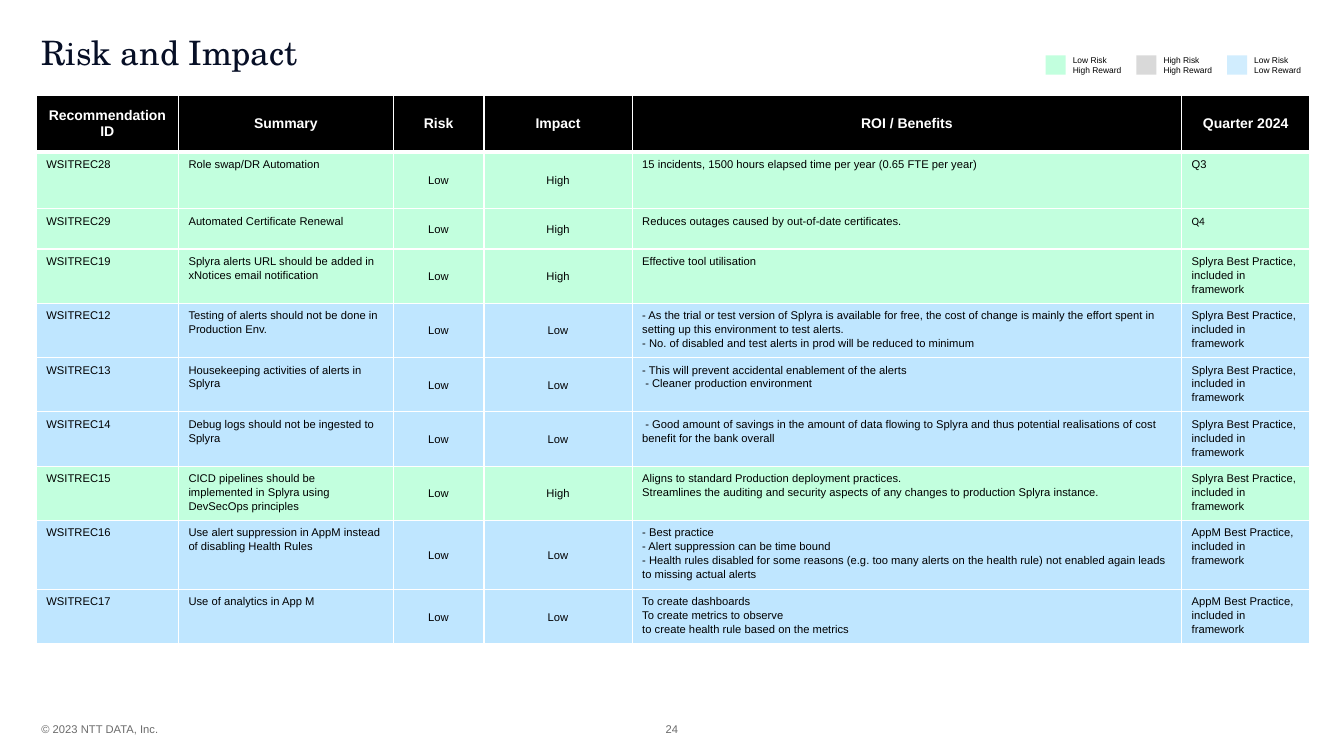
from dataclasses import dataclass

from pptx import Presentation
from pptx import util as u
from pptx.dml import color as col
from pptx.enum import shapes, text
from pptx.oxml import ns, xmlchemy as xml

MINT, SKY, GREY, PALE = "C2FFDE", "BFE6FF", "D9D9D9", "D1EDFE"
BLACK, WHITE, NAVY, DIM = "000000", "FFFFFF", "070F26", "6B6B6B"
LEFT, MID = text.PP_ALIGN.LEFT, text.PP_ALIGN.CENTER
TOP, CORE = text.MSO_ANCHOR.TOP, text.MSO_ANCHOR.MIDDLE


@dataclass
class Look:
    size: float
    hue: str = BLACK
    face: str = "Arial"
    bold: bool = False
    align: text.PP_ALIGN = LEFT
    lead: float = 1.0


@dataclass
class Label:
    words: str
    box: tuple[float, float, float, float]
    look: Look
    anchor: text.MSO_ANCHOR = TOP


@dataclass
class Advice:
    code: str
    gist: str
    impact: str
    gain: str
    term: str
    fill: str = SKY
    face: str = "Arial"  # font of the quarter cell


@dataclass
class Key:
    words: str
    fill: str


def paint(tone: str) -> col.RGBColor:
    return col.RGBColor.from_string(tone)


def write(frame, words: str, look: Look) -> None:
    """Fill the first paragraph, one run per line."""
    para = frame.paragraphs[0]
    para.alignment, para.line_spacing = look.align, look.lead
    for i, line in enumerate(words.split("\n")):
        if i:
            para.add_line_break()
        run = para.add_run()
        run.text = line
        run.font.size, run.font.name = u.Pt(look.size), look.face
        run.font.bold = look.bold
        run.font.color.rgb = paint(look.hue)


def put(slide, label: Label) -> None:
    frame = slide.shapes.add_textbox(*map(u.Inches, label.box)).text_frame
    frame.word_wrap = True
    frame.vertical_anchor = label.anchor
    frame.margin_left = frame.margin_right = 0
    frame.margin_top = frame.margin_bottom = 0
    write(frame, label.words, label.look)


def edge(cell, base: float) -> None:
    """White cell borders; base is the width of the bottom one."""
    props = cell._tc.get_or_add_tcPr()
    for side, width in (("L", 1), ("R", 1), ("T", 1), ("B", base)):
        line = xml.OxmlElement(f"a:ln{side}")
        line.set("w", str(u.Pt(width)))
        fill = xml.OxmlElement("a:solidFill")
        tint = xml.OxmlElement("a:srgbClr")
        tint.set("val", WHITE)
        fill.append(tint)
        line.append(fill)
        props.append(line)


def set_cell(cell, words: str, fill: str, look: Look, anchor: text.MSO_ANCHOR,
             base: float = 1) -> None:
    edge(cell, base)
    cell.fill.solid()
    cell.fill.fore_color.rgb = paint(fill)
    cell.vertical_anchor = anchor
    write(cell.text_frame, words, look)


def draw_grid(slide, heads: list[str], wides: list[float], items: list[Advice]) -> None:
    box = map(u.Inches, (0.36, 0.95, 12.62, 5.38))
    frame = slide.shapes.add_table(len(items) + 1, len(heads), *box)
    grid = frame.table
    grid.first_row = grid.horz_banding = False
    for part, wide in zip(grid.columns, wides):
        part.width = u.Inches(wide)
    for i, row in enumerate(grid.rows):
        row.height = u.Inches(0.56 if i < 2 else 0.4)
    frame.height = u.Inches(5.38)
    # Header row
    for j, head in enumerate(heads):
        set_cell(grid.cell(0, j), head, BLACK, Look(10, WHITE, bold=True, align=MID), CORE, 3)
    # One row per item, with risk and impact centred
    for i, item in enumerate(items, 1):
        words = (item.code, item.gist, "Low", item.impact, item.gain, item.term)
        for j, word in enumerate(words):
            score = j in (2, 3)
            face = item.face if j == 5 else "Arial"
            look = Look(8, face=face, align=MID if score else LEFT, lead=1.1)
            set_cell(grid.cell(i, j), word, item.fill, look, CORE if score else TOP)


def draw_key(slide, key: Key, left: float) -> None:
    box = map(u.Inches, (left, 0.55, 0.2, 0.19))
    chip = slide.shapes.add_shape(shapes.MSO_SHAPE.RECTANGLE, *box)
    chip.shadow.inherit = False
    chip.fill.solid()
    chip.fill.fore_color.rgb = paint(key.fill)
    chip.line.fill.background()
    put(slide, Label(key.words, (left + 0.27, 0.55, 0.54, 0.21), Look(6)))


HEADS = ["Recommendation ID", "Summary", "Risk", "Impact", "ROI / Benefits", "Quarter 2024"]
WIDES = [1.41, 2.13, 0.9, 1.47, 5.45, 1.27]
LOGS = "Splyra Best Practice, included in framework"
APPS = "AppM Best Practice, included in framework"
ITEMS = [
    Advice("WSITREC28", "Role swap/DR Automation", "High",
           "15 incidents, 1500 hours elapsed time per year (0.65 FTE per year)", "Q3", MINT),
    Advice("WSITREC29", "Automated Certificate Renewal", "High",
           "Reduces outages caused by out-of-date certificates.", "Q4", MINT, "Calibri"),
    Advice("WSITREC19", "Splyra alerts URL should be added in xNotices email notification",
           "High", "Effective tool utilisation", LOGS, MINT),
    Advice("WSITREC12", "Testing of alerts should not be done in Production Env.", "Low",
           "- As the trial or test version of Splyra is available for free, the cost of change "
           "is mainly the effort spent in setting up this environment to test alerts.\n"
           "- No. of disabled and test alerts in prod will be reduced to minimum", LOGS),
    Advice("WSITREC13", "Housekeeping activities of alerts in Splyra", "Low",
           "- This will prevent accidental enablement of the alerts\n"
           " - Cleaner production environment", LOGS),
    Advice("WSITREC14", "Debug logs should not be ingested to Splyra", "Low",
           " - Good amount of savings in the amount of data flowing to Splyra and thus "
           "potential realisations of cost benefit for the bank overall", LOGS),
    Advice("WSITREC15", "CICD pipelines should be implemented in Splyra using DevSecOps "
           "principles", "High",
           "Aligns to standard Production deployment practices.\nStreamlines the auditing and "
           "security aspects of any changes to production Splyra instance.", LOGS, MINT),
    Advice("WSITREC16", "Use alert suppression in AppM instead of disabling Health Rules", "Low",
           "- Best practice\n- Alert suppression can be time bound\n"
           "- Health rules disabled for some reasons (e.g. too many alerts on the health rule) "
           "not enabled again leads to missing actual alerts", APPS),
    Advice("WSITREC17", "Use of analytics in App M", "Low",
           "To create dashboards\nTo create metrics to observe\n"
           "to create health rule based on the metrics", APPS),
]
KEYS = [Key("Low Risk\nHigh Reward", MINT), Key("High Risk\nHigh Reward", GREY),
        Key("Low Risk\nLow Reward", PALE)]
LABELS = [
    Label("Risk and Impact", (0.41, 0.36, 9.5, 0.5),
          Look(24, NAVY, "TeX Gyre Schola", lead=0.9)),
    Label("© 2023 NTT DATA, Inc.", (0.41, 7.18, 5.31, 0.1), Look(8, DIM), CORE),
    Label("24", (6.5, 7.18, 0.33, 0.1), Look(8, DIM, align=MID), CORE),
]


def main() -> None:
    deck = Presentation()
    deck.slide_width, deck.slide_height = u.Inches(13.33), u.Inches(7.5)
    slide = deck.slides.add_slide(deck.slide_layouts[6])
    # Title and footer
    for label in LABELS:
        put(slide, label)
    # Table
    draw_grid(slide, HEADS, WIDES, ITEMS)
    # Legend
    for i, key in enumerate(KEYS):
        draw_key(slide, key, 10.37 + 0.9 * i)
    deck.save("out.pptx")


if __name__ == "__main__":
    main()
